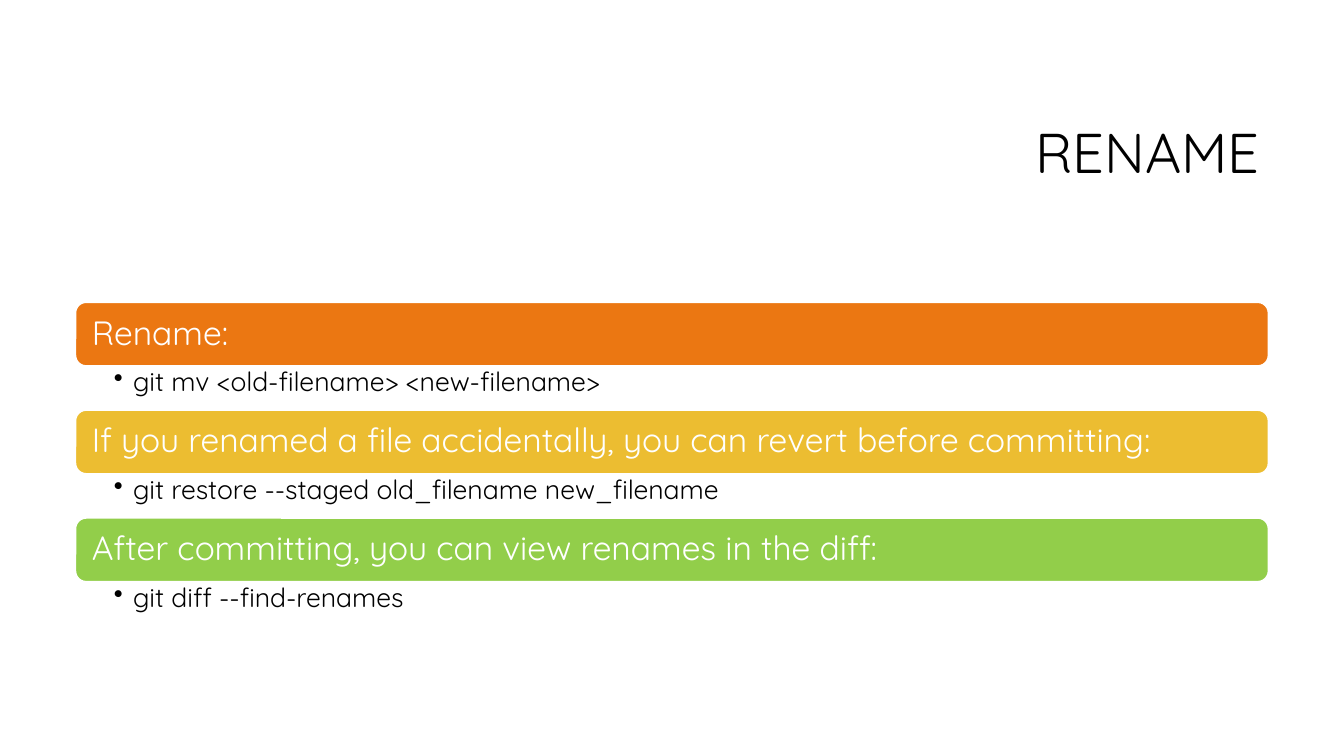
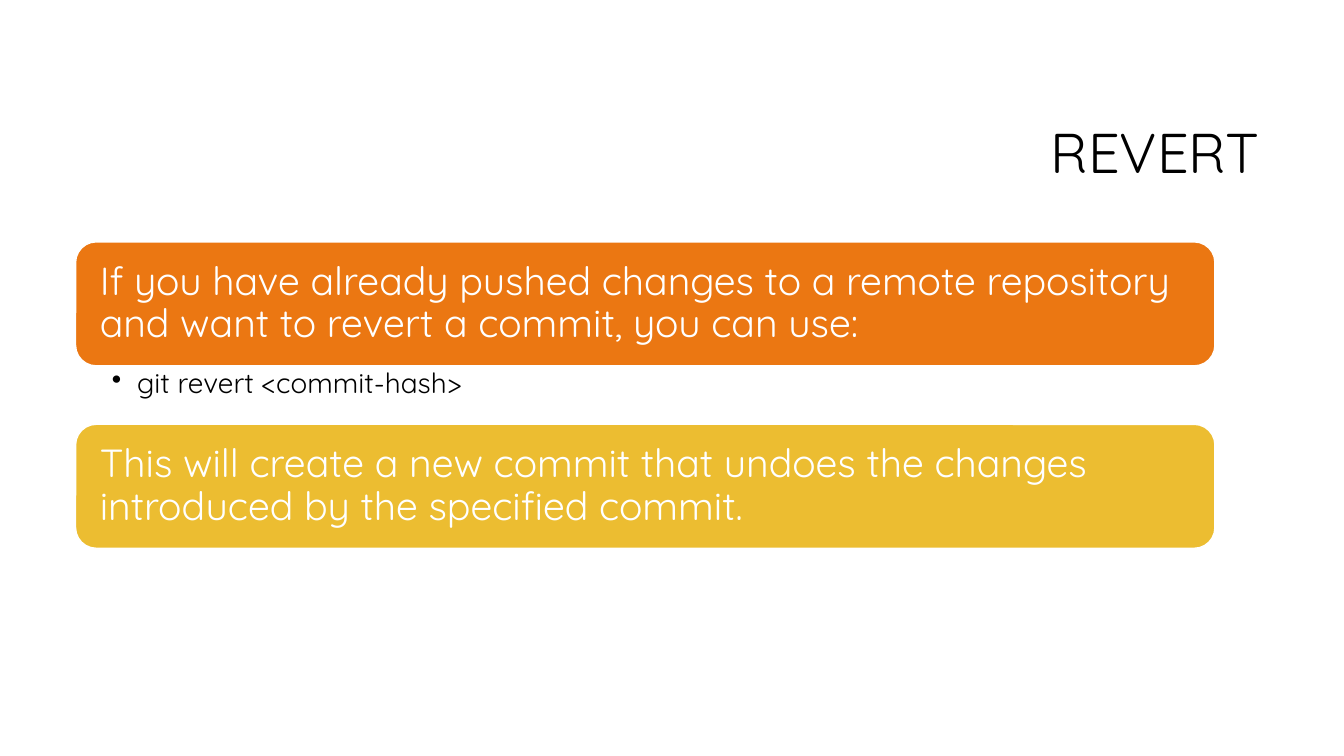
import dataclasses

import lxml.etree
import pptx
import pptx.dml.color
import pptx.enum.shapes
import pptx.enum.text
import pptx.oxml.ns
import pptx.util

Inches = pptx.util.Inches
RGB = pptx.dml.color.RGBColor.from_string
PP_ALIGN = pptx.enum.text.PP_ALIGN
ANCHOR = pptx.enum.text.MSO_ANCHOR


@dataclasses.dataclass(frozen=True)
class Theme:
    font: str = "Quicksand"
    text: str = "000000"
    light: str = "FFFFFF"
    bars: tuple = ("EB7712", "ECBD31", "92CE4A")
    title_size: int = 40
    line_spacing: float = 0.9


THEME = Theme()
LEFT = 0.75

SLIDES = [
    dict(
        title="RENAME", top=3, width=11.83, bar_height=0.63, detail_height=0.44,
        bar_size=24, detail_size=19, bar_inset=0.13, detail_inset=0.38, hanging=0.19,
        items=[
            ("Rename:", "git mv <old-filename> <new-filename>"),
            ("If you renamed a file accidentally, you can revert before committing:",
             "git restore --staged old_filename new_filename"),
            ("After committing, you can view renames in the diff:",
             "git diff --find-renames"),
        ],
    ),
    dict(
        title="REVERT", top=2.4, width=11.3, bar_height=1.23, detail_height=0.58,
        bar_size=28, detail_size=20, bar_inset=0.18, detail_inset=0.36, hanging=0.25,
        items=[
            ("If you have already pushed changes to a remote repository "
             "and want to revert a commit, you can use:",
             "git revert <commit-hash>"),
            ("This will create a new commit that undoes the changes "
             "introduced by the specified commit.", None),
        ],
    ),
]


def write(sp, text, size, color, align=PP_ALIGN.LEFT, anchor=ANCHOR.MIDDLE):
    tf = sp.text_frame
    tf.word_wrap = True
    tf.vertical_anchor = anchor
    p = tf.paragraphs[0]
    p.text = text
    p.alignment = align
    p.line_spacing = THEME.line_spacing
    p.font.name = THEME.font
    p.font.size = pptx.util.Pt(size)
    p.font.color.rgb = RGB(color)
    return tf


def add_bullet(p, hanging):
    pPr = p._p.get_or_add_pPr()
    pPr.set("marL", str(Inches(hanging)))
    pPr.set("indent", str(-Inches(hanging)))
    bullet = lxml.etree.Element(pptx.oxml.ns.qn("a:buChar"), char="•")
    pPr.find(pptx.oxml.ns.qn("a:defRPr")).addprevious(bullet)


prs = pptx.Presentation()
prs.slide_width, prs.slide_height = Inches(13.33), Inches(7.5)
title_only = prs.slide_layouts.get_by_name("Title Only")

for content in SLIDES:
    s = prs.slides.add_slide(title_only)
    title = s.shapes.title
    title.left, title.top = Inches(3.17), Inches(0.84)
    title.width, title.height = Inches(9.42), Inches(1.41)
    write(title, content["title"], THEME.title_size, THEME.text, PP_ALIGN.RIGHT)

    width = Inches(content["width"])
    bar_height = Inches(content["bar_height"])
    detail_height = Inches(content["detail_height"])
    y = Inches(content["top"])

    for (heading, command), color in zip(content["items"], THEME.bars):
        bar = s.shapes.add_shape(pptx.enum.shapes.MSO_SHAPE.ROUNDED_RECTANGLE,
                                 Inches(LEFT), y, width, bar_height)
        bar.shadow.inherit = False
        bar.fill.solid()
        bar.fill.fore_color.rgb = RGB(color)
        bar.line.color.rgb = RGB(THEME.light)
        bar.line.width = pptx.util.Pt(1)
        tf = write(bar, heading, content["bar_size"], THEME.light)
        tf.margin_left = tf.margin_right = Inches(content["bar_inset"])
        tf.margin_top = tf.margin_bottom = 0

        if command:
            detail = s.shapes.add_textbox(Inches(LEFT), y + bar_height, width, detail_height)
            tf = write(detail, command, content["detail_size"], THEME.text, anchor=ANCHOR.TOP)
            tf.margin_left = Inches(content["detail_inset"])
            tf.margin_top = tf.margin_bottom = Inches(0.03)
            add_bullet(tf.paragraphs[0], content["hanging"])
        y += bar_height + detail_height

prs.save("out.pptx")
